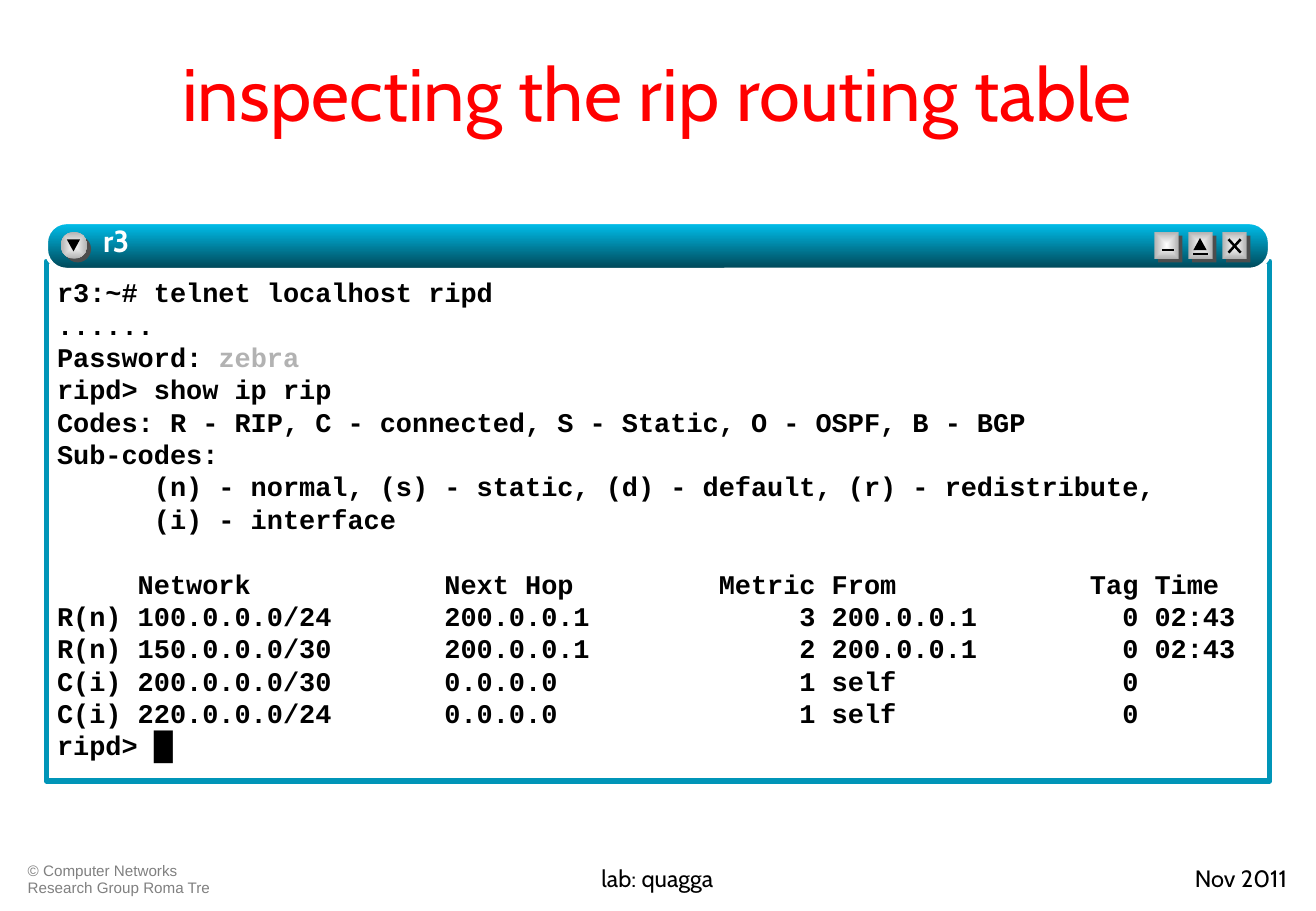
from lxml import etree
from pptx import Presentation
from pptx.dml.color import RGBColor
from pptx.enum.shapes import MSO_CONNECTOR, MSO_SHAPE
from pptx.enum.text import MSO_ANCHOR, PP_ALIGN
from pptx.oxml import parse_xml
from pptx.oxml.ns import qn
from pptx.util import Inches, Pt

LEFT, MID, RIGHT = PP_ALIGN.LEFT, PP_ALIGN.CENTER, PP_ALIGN.RIGHT
TOP, CENTER = MSO_ANCHOR.TOP, MSO_ANCHOR.MIDDLE
RECT, ROUND = MSO_SHAPE.RECTANGLE, MSO_SHAPE.ROUNDED_RECTANGLE
OVAL, WEDGE = MSO_SHAPE.OVAL, MSO_SHAPE.ISOSCELES_TRIANGLE
LINE = MSO_CONNECTOR.STRAIGHT
NS = 'xmlns:a="http://schemas.openxmlformats.org/drawingml/2006/main"'
COLORS = {
    "red": "FF0000", "black": "000000", "white": "FFFFFF", "gray": "808080",
    "pale": "B2B2B2", "dark": "4D4D4D", "light": "FEFEFE",
    "teal": "0095B8", "sky": "00C1EE", "deep": "004555",
}
LISTING = """r3:~# telnet localhost ripd
......
Password: |zebra
ripd> show ip rip
Codes: R - RIP, C - connected, S - Static, O - OSPF, B - BGP
Sub-codes:
      (n) - normal, (s) - static, (d) - default, (r) - redistribute,
      (i) - interface
     Network            Next Hop         Metric From            Tag Time
R(n) 100.0.0.0/24       200.0.0.1             3 200.0.0.1         0 02:43
R(n) 150.0.0.0/30       200.0.0.1             2 200.0.0.1         0 02:43
C(i) 200.0.0.0/30       0.0.0.0               1 self              0
C(i) 220.0.0.0/24       0.0.0.0               1 self              0
ripd> |█""".split("\n")
ACCENTS = {"zebra": ("Courier New", "pale"), "█": ("Arial", "black")}
PITCH = 19.2


def rgb(name):
    return RGBColor.from_string(COLORS[name])


def text(slide, box, lines, font="Cabin", size=14, color="black", bold=False,
         align=LEFT, anchor=TOP, inset=(0.1, 0.05, 0.1, 0.05), pitch=None):
    frame = slide.shapes.add_textbox(*map(Inches, box)).text_frame
    frame.word_wrap = True
    frame.vertical_anchor = anchor
    (frame.margin_left, frame.margin_top,
     frame.margin_right, frame.margin_bottom) = map(Inches, inset)
    for i, line in enumerate(lines):
        para = frame.paragraphs[0] if i == 0 else frame.add_paragraph()
        para.alignment = align
        if pitch:
            para.line_spacing = pitch
        for part in line.split("|"):
            face, tint = ACCENTS.get(part, (font, color))
            run = para.add_run()
            run.text = part
            run.font.name, run.font.size = face, Pt(size)
            run.font.bold = bold
            run.font.color.rgb = rgb(tint)
    return frame


def shape(slide, kind, box, fill=None, line=None, width=1):
    item = slide.shapes.add_shape(kind, *map(Inches, box))
    item.shadow.inherit = False
    if fill is None:
        item.fill.background()
    elif isinstance(fill, tuple):
        item.fill.gradient()
        item.fill.gradient_angle = 270
        for stop, name in zip(item.fill.gradient_stops, fill):
            stop.color.rgb = rgb(name)
    else:
        item.fill.solid()
        item.fill.fore_color.rgb = rgb(fill)
    if line:
        item.line.color.rgb = rgb(line)
        item.line.width = Pt(width)
    else:
        item.line.fill.background()
    return item


def stroke(slide, *ends):
    item = slide.shapes.add_connector(LINE, *map(Inches, ends))
    item.line.color.rgb = rgb("black")
    item.line.width = Pt(1.5)
    etree.SubElement(item.element.spPr, qn("a:effectLst"))


def button(slide, kind, x, y, wide):
    shape(slide, kind, (x + 0.03, y + 0.03, wide, 0.22), "dark")
    face = shape(slide, kind, (x, y, wide, 0.22), ("light", "pale"))
    grad = face.element.spPr.find(qn("a:gradFill"))
    grad.remove(grad.find(qn("a:lin")))
    grad.append(parse_xml(
        f'<a:path {NS} path="rect"><a:fillToRect l="50000" t="50000" '
        'r="50000" b="50000"/></a:path>'))


def bar(slide, x, y, w, h):
    back = shape(slide, ROUND, (x, y, w, h), ("sky", "deep"), "white", 2.25)
    back.adjustments[0] = 0.43
    top = y + 0.08
    button(slide, OVAL, x + 0.12, top, 0.22)
    arrow = shape(slide, WEDGE, (x + 0.17, top + 0.06, 0.11, 0.1), "black")
    arrow.rotation = 180
    small, lift, close = [x + w - 0.95 + 0.28 * i for i in range(3)]
    for left in (small, lift, close):
        button(slide, RECT, left, top, 0.2)
    stroke(slide, small + 0.06, top + 0.15, small + 0.16, top + 0.15)
    stroke(slide, lift + 0.04, top + 0.18, lift + 0.16, top + 0.18)
    shape(slide, WEDGE, (lift + 0.04, top + 0.05, 0.11, 0.1), "black")
    stroke(slide, close + 0.05, top + 0.17, close + 0.15, top + 0.06)
    stroke(slide, close + 0.05, top + 0.06, close + 0.15, top + 0.17)
    label = text(slide, (x + 0.47, y, 7.24, h), ["r3"], size=18, color="white",
                 bold=True, inset=(0, 0, 0, 0))
    props = label.paragraphs[0].runs[0].font.fill
    mark = label.paragraphs[0].runs[0]._r.get_or_add_rPr()
    props.solid()
    props.fore_color.rgb = rgb("white")
    mark.find(qn("a:solidFill")).addnext(parse_xml(
        f'<a:effectLst {NS}><a:outerShdw dist="17961" dir="2700000">'
        f'<a:srgbClr val="{COLORS["black"]}"/></a:outerShdw></a:effectLst>'))


def window(slide, x, y, w, h):
    head = 0.32
    body = (x, y + head, w, h - head)
    shape(slide, RECT, body, line="teal", width=3)
    frame = text(slide, body, LISTING, font="Courier New", size=16, bold=True,
                 inset=(0.09, 0.12, 0.08, 0.04), pitch=Pt(PITCH))
    for para in frame.paragraphs:
        if "Network" in para.text:
            para.space_before = Pt(PITCH)
    bar(slide, x, y, w, 0.39)


def footer(slide, y, h):
    note = text(slide, (0.13, y, 1.88, h),
                ["© Computer Networks Research Group Roma Tre"],
                font="Arial", size=9, color="gray")
    note.paragraphs[0].line_spacing = 0.9
    text(slide, (2.77, y, 5.29, h), ["lab: quagga"], align=MID)
    text(slide, (8.23, y, 2.47, h), ["Nov 2011"], align=RIGHT)


def main():
    deck = Presentation()
    deck.slide_width, deck.slide_height = Inches(10.84), Inches(7.5)
    slide = deck.slides.add_slide(deck.slide_layouts[6])
    text(slide, (0.54, 0.13, 9.75, 1.25), ["inspecting the rip routing table"],
         size=44, color="red", align=MID, anchor=CENTER)
    window(slide, 0.38, 1.83, 10.08, 4.6)
    footer(slide, 7.06, 0.36)
    deck.save("out.pptx")


if __name__ == "__main__":
    main()
